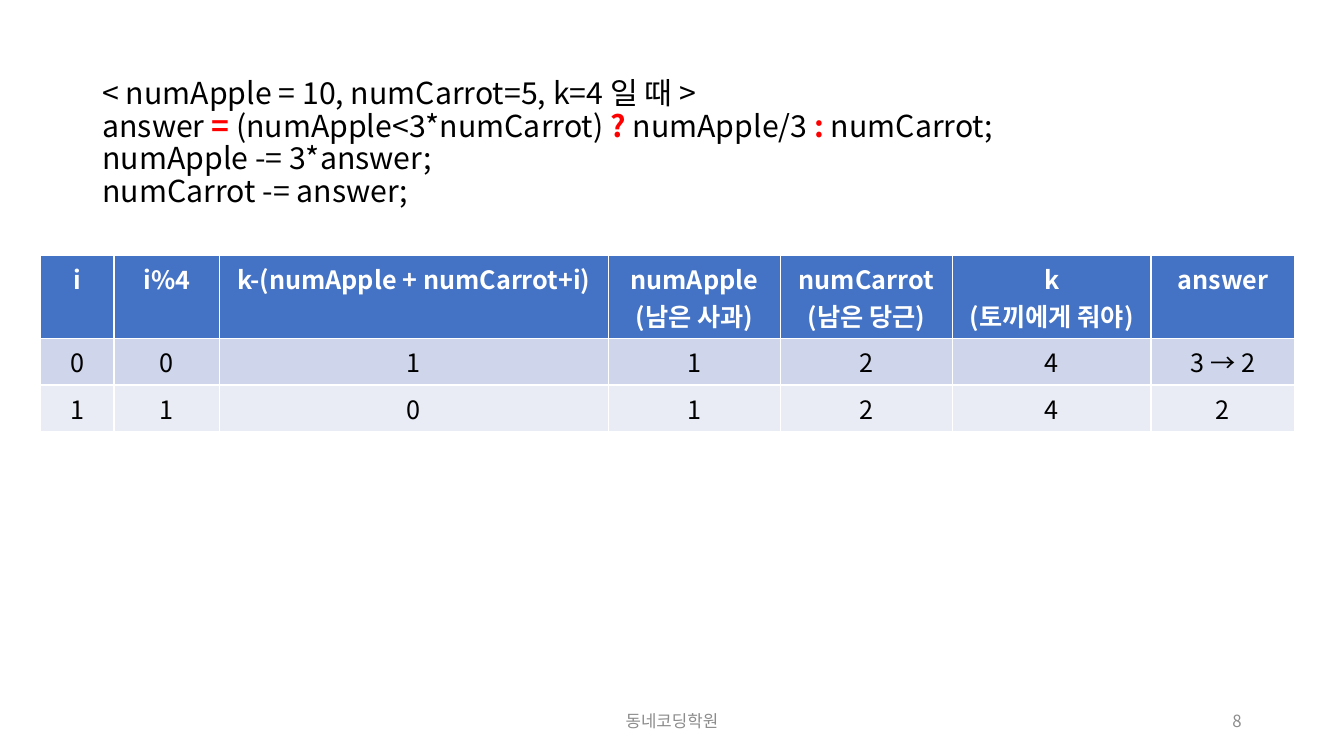
from lxml.etree import SubElement
from pptx import Presentation
from pptx.dml.color import RGBColor
from pptx.enum.text import MSO_ANCHOR, MSO_AUTO_SIZE, PP_ALIGN
from pptx.oxml.ns import qn
from pptx.util import Pt

# Content
FONT = "Noto Sans CJK KR"
BLACK, RED, WHITE, GRAY = "000000", "FF0000", "FFFFFF", "8C8C8C"
CODE_LINES = [
    [("< numApple = 10, numCarrot=5, k=4 일 때 >", BLACK)],
    [("answer ", BLACK), ("=", RED), (" (numApple<3*numCarrot) ", BLACK),
     ("? ", RED), ("numApple/3 ", BLACK), (": ", RED), ("numCarrot;", BLACK)],
    [("numApple -= 3*answer;", BLACK)],
    [("numCarrot -= answer;", BLACK)],
]
TRACE_ROWS = [
    ["i", "i%4", "k-(numApple + numCarrot+i)", "numApple\n(남은 사과)",
     "numCarrot\n(남은 당근)", "k\n(토끼에게 줘야)", "answer"],
    ["0", "0", "1", "1", "2", "4", "3 → 2"],
    ["1", "1", "0", "1", "2", "4", "2"],
]
ROW_FILLS = ["4472C4", "CFD5EA", "E9EBF5"]
COLUMN_WIDTHS = [52.4, 75.2, 277.8, 122.9, 122.9, 142, 102.6]
ROW_HEIGHT = 29.2
# text, left, width, alignment
FOOTERS = [
    ("동네코딩학원", 318, 324, PP_ALIGN.CENTER),
    ("8", 678, 216, PP_ALIGN.RIGHT),
]


def color(value):
    return RGBColor.from_string(value)


def format_run(run, size, value, bold=False):
    run.font.size = Pt(size)
    run.font.bold = bold
    run.font.color.rgb = color(value)
    run.font.name = FONT
    SubElement(run.font._element, qn("a:ea")).set("typeface", FONT)


def format_text(text_frame, size, value, alignment, bold=False):
    for paragraph in text_frame.paragraphs:
        paragraph.alignment = alignment
        for run in paragraph.runs:
            format_run(run, size, value, bold)


presentation = Presentation()
presentation.slide_width, presentation.slide_height = Pt(960), Pt(540)
slide = presentation.slides.add_slide(presentation.slide_layouts[5])

# Code in the title, with the operators in red
title = slide.shapes.title
title.left, title.top, title.width, title.height = Pt(66), Pt(50.4), Pt(828), Pt(104.4)
title.text_frame.word_wrap = True
title.text_frame.auto_size = MSO_AUTO_SIZE.NONE
title.text_frame.vertical_anchor = MSO_ANCHOR.MIDDLE
paragraph = title.text_frame.paragraphs[0]
paragraph.alignment = PP_ALIGN.LEFT
paragraph.line_spacing = 0.9
for number, line in enumerate(CODE_LINES):
    if number:
        paragraph.add_line_break()
    for text, value in line:
        run = paragraph.add_run()
        run.text = text
        format_run(run, 21.6, value, bold=value == RED)

# Trace table
table = slide.shapes.add_table(
    len(TRACE_ROWS), len(COLUMN_WIDTHS), Pt(29.1), Pt(182.4),
    Pt(sum(COLUMN_WIDTHS)), Pt(ROW_HEIGHT * len(TRACE_ROWS))).table
for column, width in zip(table.columns, COLUMN_WIDTHS):
    column.width = Pt(width)
for row_number, (values, fill) in enumerate(zip(TRACE_ROWS, ROW_FILLS)):
    table.rows[row_number].height = Pt(ROW_HEIGHT)
    is_header = row_number == 0
    for column_number, value in enumerate(values):
        cell = table.cell(row_number, column_number)
        cell.fill.solid()
        cell.fill.fore_color.rgb = color(fill)
        cell.text_frame.text = value
        format_text(cell.text_frame, 18, WHITE if is_header else BLACK,
                    PP_ALIGN.CENTER, bold=is_header)

# Footer and slide number
for text, left, width, alignment in FOOTERS:
    footer = slide.shapes.add_textbox(Pt(left), Pt(500.5), Pt(width), Pt(28.8))
    footer.text_frame.word_wrap = True
    footer.text_frame.vertical_anchor = MSO_ANCHOR.MIDDLE
    footer.text_frame.text = text
    format_text(footer.text_frame, 12, GRAY, alignment)

presentation.save("out.pptx")
